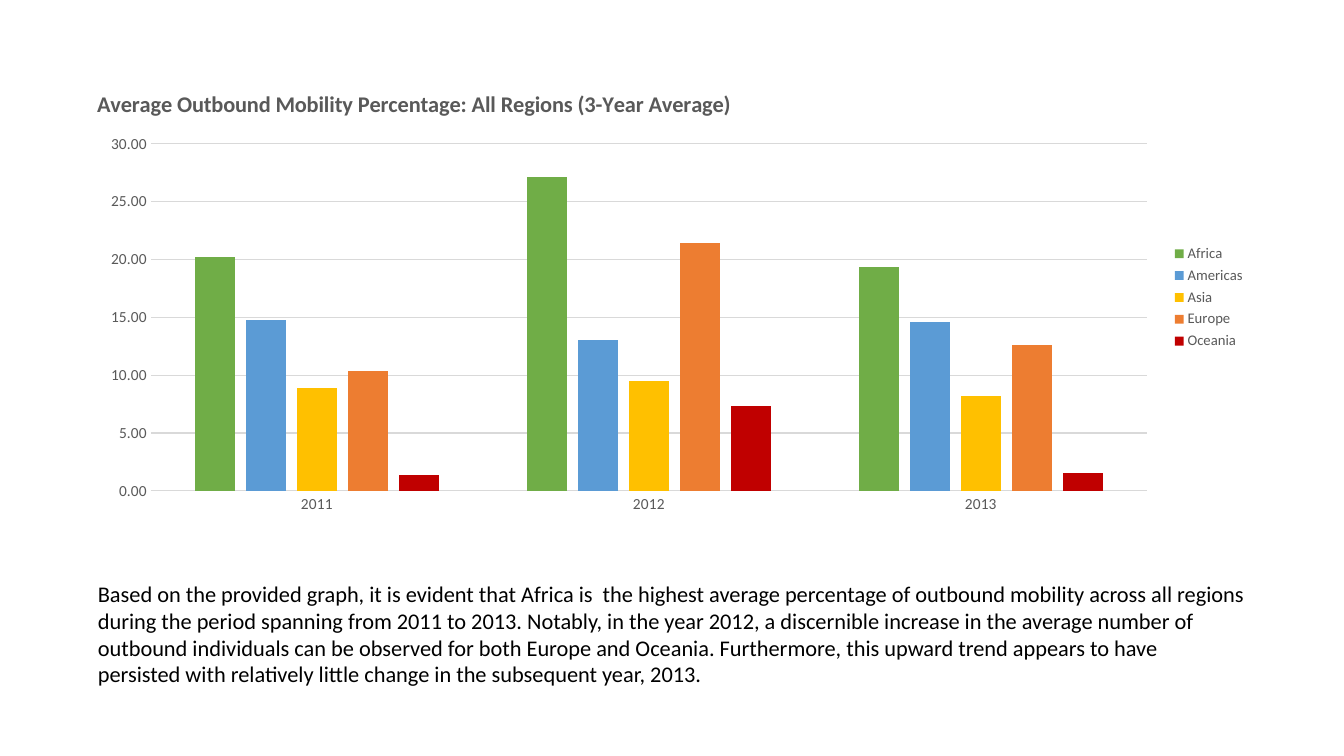
import pptx
import pptx.chart.data
import pptx.dml.color
import pptx.enum.chart
import pptx.enum.text
import pptx.oxml
import pptx.oxml.ns
import pptx.util

# Content
TITLE = "Average Outbound Mobility Percentage: All Regions (3-Year Average)"
YEARS = ["2011", "2012", "2013"]
REGIONS = [
    ("Africa", "70AD47", (20.2, 27.1, 19.4)),
    ("Americas", "5B9BD5", (14.8, 13, 14.6)),
    ("Asia", "FFC000", (8.9, 9.5, 8.2)),
    ("Europe", "ED7D31", (10.4, 21.4, 12.6)),
    ("Oceania", "C00000", (1.4, 7.3, 1.5)),
]
COMMENT = (
    "Based on the provided graph, it is evident that Africa is  the highest average "
    "percentage of outbound mobility across all regions during the period spanning from "
    "2011 to 2013. Notably, in the year 2012, a discernible increase in the average number "
    "of outbound individuals can be observed for both Europe and Oceania. Furthermore, this "
    "upward trend appears to have persisted with relatively little change in the subsequent "
    "year, 2013."
)

# Places in px: left, top, width, height
PAGE_SIZE = (1344, 756)
CHART = (88, 71, 1168, 453)
PLOT = (151, 144, 996, 347)
TITLE_CORNER = (93, 85)
COMMENT_BOX = (88, 575, 1168, 119)

FONT = "Calibri"
GREY = "595959"
RULE = "D9D9D9"


def px(length):
    return pptx.util.Emu(round(length * 914400 / 100.8))


def color(code):
    return pptx.dml.color.RGBColor.from_string(code)


def style_font(font, size, code, bold=False):
    font.name = FONT
    font.size = pptx.util.Pt(size)
    font.bold = bold
    font.color.rgb = color(code)


def add_text(para, text, size=16, code="000000", bold=False):
    span = para.add_run()
    span.text = text
    style_font(span.font, size, code, bold)


def style_line(line):
    line.color.rgb = color(RULE)
    line.width = pptx.util.Pt(0.75)


def place(part, index, left, top, width=None, height=None):
    """Fix a chart part at a px position, as fractions of the chart."""
    for old in part.findall(pptx.oxml.ns.qn("c:layout")):
        part.remove(old)
    fractions = {"x": (left - CHART[0]) / CHART[2], "y": (top - CHART[1]) / CHART[3]}
    target = ""
    if width:
        target = '<c:layoutTarget val="inner"/>'
        fractions.update(w=width / CHART[2], h=height / CHART[3])
    modes = "".join(f'<c:{key}Mode val="edge"/>' for key in "xy")
    values = "".join(f'<c:{key} val="{value:.4f}"/>' for key, value in fractions.items())
    part.insert(index, pptx.oxml.parse_xml(
        f'<c:layout {pptx.oxml.ns.nsdecls("c")}><c:manualLayout>'
        f"{target}{modes}{values}</c:manualLayout></c:layout>"))


def add_region_chart(page):
    data = pptx.chart.data.CategoryChartData(number_format="0.00")
    data.categories = YEARS
    for name, _, values in REGIONS:
        data.add_series(name, values)
    kind = pptx.enum.chart.XL_CHART_TYPE.COLUMN_CLUSTERED
    chart = page.shapes.add_chart(kind, *map(px, CHART), data).chart
    style_font(chart.font, 10, "000000")

    # Title
    chart.has_title = True
    add_text(chart.chart_title.text_frame.paragraphs[0], TITLE, code=GREY, bold=True)
    place(chart.chart_title._element, 1, *TITLE_CORNER)

    # Columns
    plot = chart.plots[0]
    plot.gap_width = 219
    plot.overlap = -27
    plot.vary_by_categories = False
    for series, (_, code, _) in zip(plot.series, REGIONS):
        series.format.fill.solid()
        series.format.fill.fore_color.rgb = color(code)
        series.invert_if_negative = False
    place(chart._chartSpace.chart.plotArea, 0, *PLOT)

    # Axes
    for axis in (chart.category_axis, chart.value_axis):
        axis.major_tick_mark = pptx.enum.chart.XL_TICK_MARK.NONE
        axis.minor_tick_mark = pptx.enum.chart.XL_TICK_MARK.NONE
        style_font(axis.tick_labels.font, 11, GREY)
    style_line(chart.category_axis.format.line)
    scale = chart.value_axis
    scale.minimum_scale, scale.maximum_scale, scale.major_unit = 0, 30, 5
    scale.format.line.fill.background()
    style_line(scale.major_gridlines.format.line)
    scale.tick_labels.number_format = "0.00"
    scale.tick_labels.number_format_is_linked = False

    # Legend
    chart.has_legend = True
    chart.legend.position = pptx.enum.chart.XL_LEGEND_POSITION.RIGHT
    chart.legend.include_in_layout = False
    style_font(chart.legend.font, 10.5, GREY)


def add_comment(page):
    box = page.shapes.add_textbox(*map(px, COMMENT_BOX))
    box.text_frame.word_wrap = True
    box.text_frame.auto_size = pptx.enum.text.MSO_AUTO_SIZE.SHAPE_TO_FIT_TEXT
    add_text(box.text_frame.paragraphs[0], COMMENT)


def main():
    deck = pptx.Presentation()
    deck.slide_width, deck.slide_height = map(px, PAGE_SIZE)
    page = deck.slides.add_slide(deck.slide_layouts[6])
    add_region_chart(page)
    add_comment(page)
    deck.save("out.pptx")


if __name__ == "__main__":
    main()
